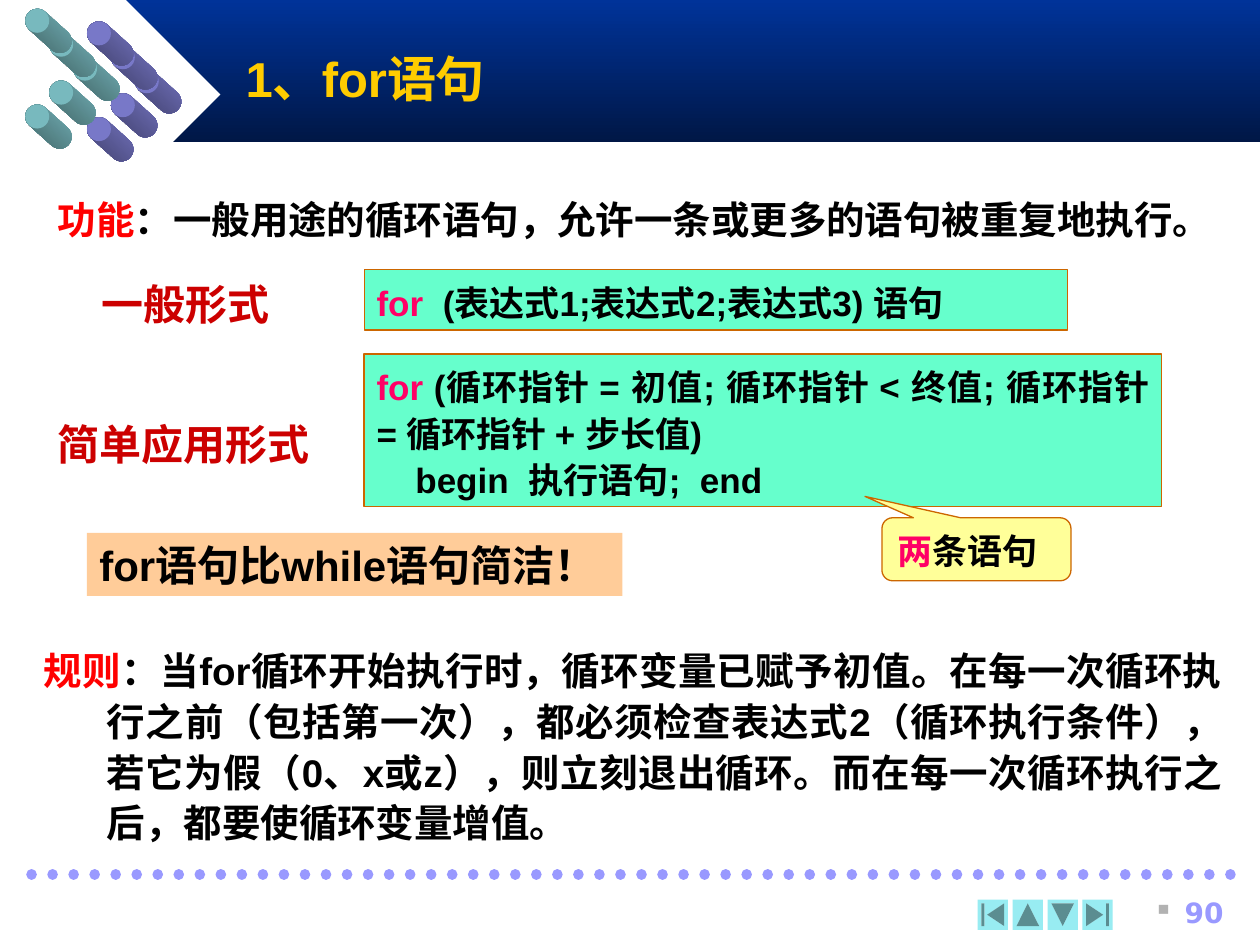
from lxml.etree import SubElement as Sub
from pptx import Presentation
from pptx.dml.color import RGBColor as Rgb
from pptx.enum.dml import MSO_LINE as Dash
from pptx.enum.shapes import MSO_CONNECTOR as Conn, MSO_SHAPE as Kind
from pptx.enum.text import MSO_ANCHOR as Anchor, MSO_AUTO_SIZE as Auto, PP_ALIGN as Align
from pptx.oxml.ns import qn
from pptx.util import Inches, Pt

HUES = {
    "navy": "003399", "night": "001746", "white": "FFFFFF", "black": "000000",
    "lilac": "9999FF", "aqua": "98ECF2", "mint": "66FFCC", "rust": "CC6600",
    "cream": "FFFF99", "peach": "FFCC99", "gold": "FFCC00", "red": "FF0000",
    "pink": "FF0066", "brick": "CC0000", "gray": "B2B2B2",
    "plum": "7878C8", "dusk": "3C3C64", "teal": "78B9BE", "moss": "3C5C5F",
}
SANS, HAN, KANJI = "Arial", "Noto Sans CJK SC", "Noto Sans CJK JP"


def hue(name):
    """Return the named colour."""
    return Rgb.from_string(HUES[name])


def place(shape, box):
    """Move and size a shape by left, top, width and height."""
    shape.left, shape.top, shape.width, shape.height = map(Inches, box)


def blend(shape, start, end, angle):
    """Fill a shape with a two-colour gradient."""
    shape.fill.gradient()
    shape.fill.gradient_angle = angle
    for stop, name, pos in zip(shape.fill.gradient_stops, (start, end), (0, 1)):
        stop.color.rgb, stop.position = hue(name), pos


def form(slide, kind, box, fill, edge=None, turn=0):
    """Add a preset shape with a plain fill and an optional edge."""
    shape = slide.shapes.add_shape(kind, *map(Inches, box))
    shape.shadow.inherit = False
    shape.rotation = turn
    shape.fill.solid()
    shape.fill.fore_color.rgb = hue(fill)
    if edge:
        shape.line.color.rgb, shape.line.width = hue(edge), Pt(0.75)
    else:
        shape.line.fill.background()
    return shape


def write(shape, lines, size, face=SANS, anchor=Anchor.BOTTOM, align=Align.LEFT,
          hang=0, space=1, mark=None):
    """Fill a shape with lines, each a list of (text, colour) runs."""
    frame = shape.text_frame
    frame.word_wrap, frame.auto_size = True, Auto.NONE
    frame.vertical_anchor = anchor
    for num, runs in enumerate(lines):
        para = frame.add_paragraph() if num else frame.paragraphs[0]
        para.alignment, para.line_spacing = align, space
        para.space_before = Pt(0)
        props = para._p.get_or_add_pPr()
        props.set("marL", str(Inches(hang)))
        props.set("indent", str(-Inches(hang)))
        if mark:
            tint = Sub(Sub(props, qn("a:buClr")), qn("a:srgbClr"))
            tint.set("val", HUES["gray"])
            Sub(props, qn("a:buChar")).set("char", mark)
        else:
            Sub(props, qn("a:buNone"))
        font = para.font
        font.name, font.size, font.bold = face, Pt(size), True
        east = HAN if face == SANS else face
        Sub(props.find(qn("a:defRPr")), qn("a:ea")).set("typeface", east)
        for text, name in runs:
            run = para.add_run()
            run.text, run.font.color.rgb = text, hue(name)


def label(slide, box, lines, size, **style):
    """Add a text box."""
    write(slide.shapes.add_textbox(*map(Inches, box)), lines, size, **style)


def rod(slide, left, top, face, dark):
    """Add a slanted rod with a round end."""
    body = form(slide, Kind.ROUNDED_RECTANGLE,
                (left - 0.03, top + 0.08, 0.43, 0.19), face, turn=42)
    body.adjustments[0] = 0.5
    blend(body, face, dark, 270)
    form(slide, Kind.OVAL, (left, top, 0.19, 0.19), face)


def header(slide):
    """Draw the banner with its two arrows of rods."""
    band = form(slide, Kind.RECTANGLE, (1, 0, 9, 1.13), "navy")
    blend(band, "navy", "night", 270)
    form(slide, Kind.DIAMOND, (0.25, 0, 1.5, 1.5), "white")
    for left, top, face, dark in ((0.69, 0.17, "plum", "dusk"),
                                  (0.2, 0.07, "teal", "moss")):
        for row in (4, 3, 2, 1, 0):
            col = min(row, 4 - row)
            if left < 0.5:
                rod(slide, left + 0.19 * col, top + 0.19 * row, face, dark)
            else:
                rod(slide, left + 0.19 * col, top + 0.19 * row, face, dark)


def footer(slide):
    """Draw the dotted rule, the buttons and the page number."""
    rule = slide.shapes.add_connector(
        Conn.STRAIGHT, Inches(0.25), Inches(6.94), Inches(9.83), Inches(6.94))
    rule.line.color.rgb, rule.line.width = hue("lilac"), Pt(6)
    rule.line.dash_style = Dash.ROUND_DOT
    rule.line._get_or_add_ln().set("cap", "rnd")
    Sub(rule._element.spPr, qn("a:effectLst"))
    keys = ((Kind.ACTION_BUTTON_BEGINNING, 0), (Kind.ACTION_BUTTON_BACK_OR_PREVIOUS, 90),
            (Kind.ACTION_BUTTON_FORWARD_OR_NEXT, 90), (Kind.ACTION_BUTTON_END, 0))
    for num, (kind, turn) in enumerate(keys):
        form(slide, kind, (7.76 + 0.277 * num, 7.14, 0.24, 0.24), "aqua", turn=turn)
    label(slide, (8.86, 7.06, 0.95, 0.33), [[("90", "lilac")]], 16, face="DejaVu Sans",
          anchor=Anchor.TOP, align=Align.RIGHT, hang=0.25, mark="▪")


def main():
    """Build the slide and save it."""
    deck = Presentation()
    deck.slide_width, deck.slide_height = Inches(10), Inches(7.5)
    slide = deck.slides.add_slide(deck.slide_layouts[1])
    header(slide)
    footer(slide)

    title, body = slide.placeholders
    place(title, (1.85, 0.25, 8.5, 0.74))
    write(title, [[("1、for语句", "gold")]], 28, anchor=Anchor.MIDDLE)
    slide.shapes._spTree.append(title._element)
    prose = dict(anchor=Anchor.TOP, align=Align.JUSTIFY, hang=0.5, space=1.1)
    place(body, (0.36, 1.47, 9.64, 0.55))
    write(body, [[("功能", "red"),
                  ("：一般用途的循环语句，允许一条或更多的语句被重复地执行。", "black")]],
          22, **prose)

    code = dict(align=Align.JUSTIFY, space=1.1)
    basic = form(slide, Kind.RECTANGLE, (2.89, 2.14, 5.58, 0.48), "mint", "rust")
    write(basic, [[("for  ", "pink"), ("(表达式1;表达式2;表达式3) 语句", "black")]],
          20, **code)
    usual = form(slide, Kind.RECTANGLE, (2.89, 2.81, 6.33, 1.21), "mint", "rust")
    write(usual, [
        [("for ", "pink"),
         ("(循环指针 = 初值; 循环指针 < 终值; 循环指针 = 循环指针 + 步长值)", "black")],
        [("    begin  执行语句;  end", "black")]], 20, **code)

    note = form(slide, Kind.ROUNDED_RECTANGULAR_CALLOUT, (7, 4.11, 1.5, 0.5), "cream", "rust")
    for num, value in enumerate((-0.59, -0.84, 0.17)):
        note.adjustments[num] = value
    write(note, [[("两", "pink"), ("条语句", "black")]], 20, face=HAN)

    for box, text in (((0.71, 2.16, 1.78, 0.5), "一般形式"),
                      ((0.36, 3.27, 2.4, 0.5), "简单应用形式")):
        label(slide, box, [[(text, "brick")]], 24, face=KANJI, hang=0.31)

    label(slide, (0.25, 5.05, 9.55, 1.68), [[
        ("规则", "red"),
        ("：当for循环开始执行时，循环变量已赋予初值。在每一次循环执行之前（包括第一次），"
         "都必须检查表达式2（循环执行条件），若它为假（0、x或z），则立刻退出循环。"
         "而在每一次循环执行之后，都要使循环变量增值。", "black")]], 22, **prose)
    claim = form(slide, Kind.RECTANGLE, (0.69, 4.23, 4.25, 0.5), "peach")
    write(claim, [[("for语句比while语句简洁！", "black")]], 24)
    deck.save("out.pptx")


if __name__ == "__main__":
    main()
